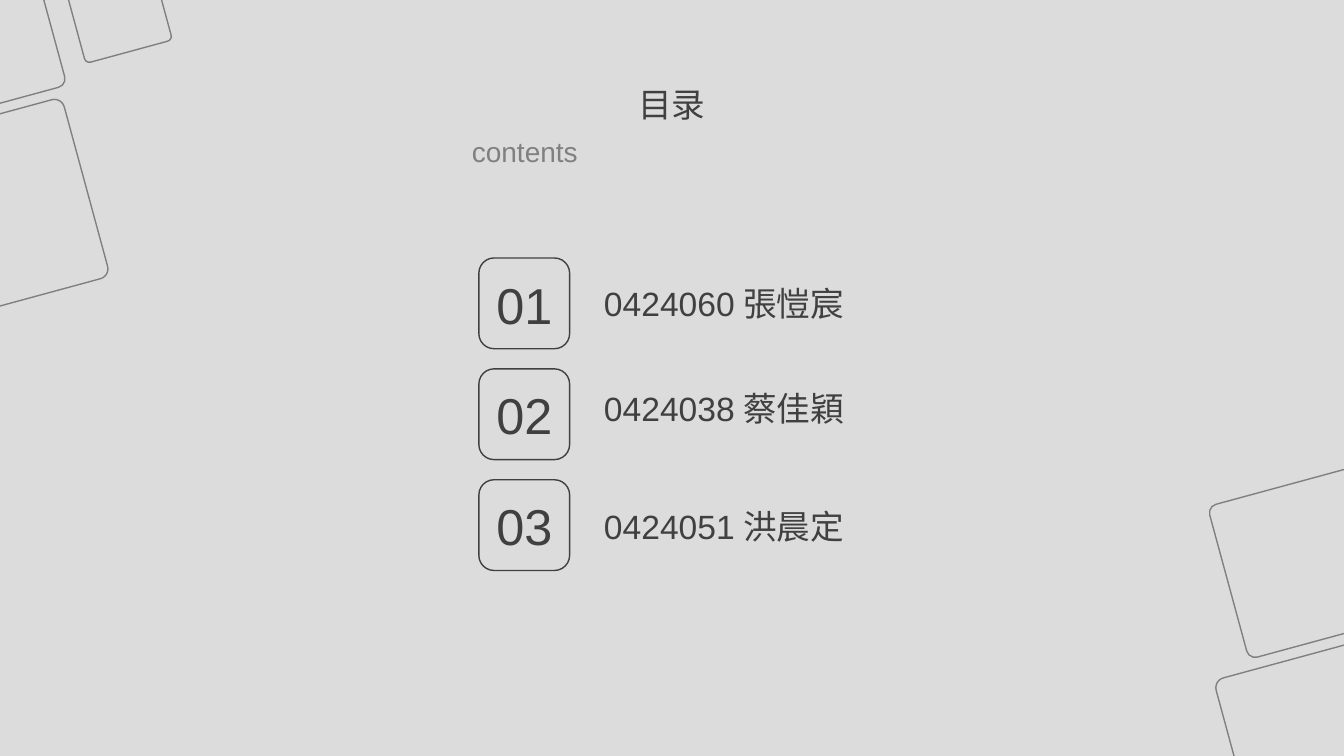
from pptx import Presentation
from pptx.dml.color import RGBColor
from pptx.enum.shapes import MSO_SHAPE
from pptx.enum.text import MSO_ANCHOR, MSO_AUTO_SIZE, PP_ALIGN
from pptx.util import Emu, Pt

ROUNDED = MSO_SHAPE.ROUNDED_RECTANGLE
TOP, MIDDLE = MSO_ANCHOR.TOP, MSO_ANCHOR.MIDDLE
LEFT, CENTER, JUSTIFY = PP_ALIGN.LEFT, PP_ALIGN.CENTER, PP_ALIGN.JUSTIFY
GROW = MSO_AUTO_SIZE.SHAPE_TO_FIT_TEXT
TITLE_ONLY = 5
EMU_PER_PX = 9144
COLORS = {"background": "DCDCDC", "dark": "404040", "gray": "808080"}
LATIN, HEADING = "Arial", "Roboto"

TILES = [
    (-133, -46, 182, 157),
    (-124, 121, 213, 184),
    (63, -103, 89, 157),
    (1215, 476, 182, 157),
    (1224, 644, 213, 184),
]
MEMBERS = [
    ("0424060", "張愷宸", 273),
    ("0424038", "蔡佳穎", 377),
    ("0424051", "洪晨定", 494),
]


def px(*lengths):
    return [Emu(length * EMU_PER_PX) for length in lengths]


def color(name):
    return RGBColor.from_string(COLORS[name])


def write(box, spans, size=24, ink="dark", align=LEFT, anchor=MIDDLE, spacing=None):
    frame = box.text_frame
    frame.word_wrap = True
    frame.auto_size = GROW
    frame.vertical_anchor = anchor
    inset = px(5)[0]
    frame.margin_left = frame.margin_right = inset
    frame.margin_top = frame.margin_bottom = inset
    para = frame.paragraphs[0]
    para.alignment = align
    para.line_spacing = spacing
    for text, font in spans:
        span = para.add_run()
        span.text = text
        span.font.name = font
        span.font.size = Pt(size)
        span.font.color.rgb = color(ink)


class ContentsSlide:
    """Draws the contents slide in one shared style."""

    def __init__(self, deck):
        self.page = deck.slides.add_slide(deck.slide_layouts[TITLE_ONLY])
        fill = self.page.background.fill
        fill.solid()
        fill.fore_color.rgb = color("background")

    def title(self, text, left, top, width, height):
        box = self.page.shapes.title
        box.left, box.top, box.width, box.height = px(left, top, width, height)
        write(box, [(text, HEADING)], align=CENTER)

    def text(self, spans, left, top, width, height, **style):
        box = self.page.shapes.add_textbox(*px(left, top, width, height))
        write(box, spans, **style)

    def frame(self, left, top, width, height, line, corner, rotation=0):
        box = self.page.shapes.add_shape(ROUNDED, *px(left, top, width, height))
        box.adjustments[0] = corner
        box.rotation = rotation
        box.shadow.inherit = False
        box.fill.background()
        box.line.color.rgb = color(line)
        box.line.width = Pt(1)


def main():
    deck = Presentation()
    deck.slide_width, deck.slide_height = px(1333, 750)
    slide = ContentsSlide(deck)
    for tile in TILES:
        slide.frame(*tile, line="gray", corner=0.055, rotation=344.8)
    slide.title("目录", 531, 75, 271, 56)
    slide.text([("contents", LATIN)], 463, 112, 407, 41,
               size=20, ink="gray", align=JUSTIFY, anchor=TOP, spacing=1.5)
    for index, (number, name, name_top) in enumerate(MEMBERS):
        top = 256 + 110 * index
        slide.frame(475, top, 90, 90, line="dark", corner=0.167)
        slide.text([(f"{index + 1:02}", LATIN)], 479, top + 12, 82, 67,
                   size=36, align=CENTER)
        slide.text([(number, LATIN), (f" {name}", HEADING)], 594, name_top, 289, 56)
    deck.save("out.pptx")


if __name__ == "__main__":
    main()
